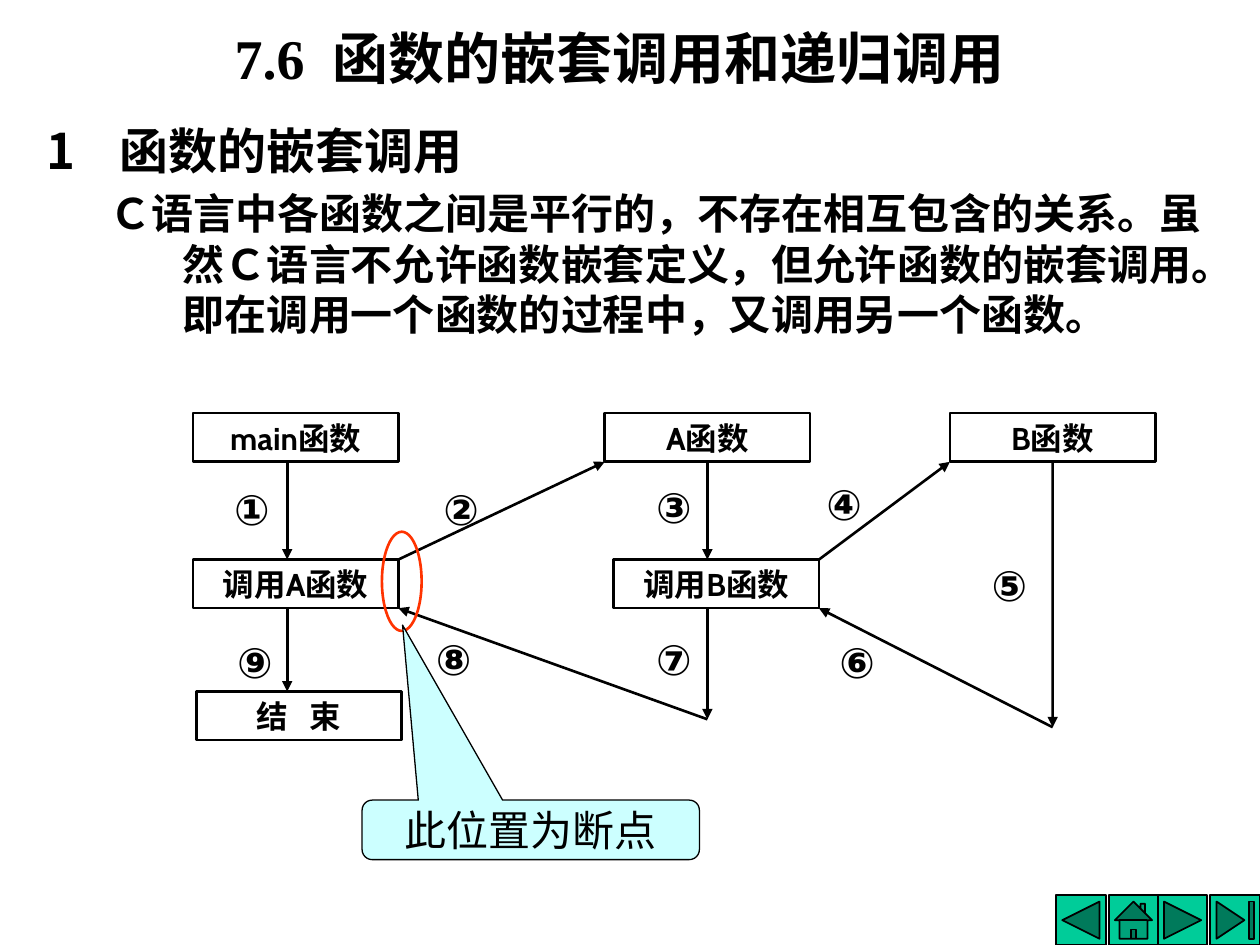
from lxml import etree
from pptx import Presentation
from pptx import util as u
from pptx.dml.color import RGBColor
from pptx.enum import shapes, text
from pptx.oxml.ns import qn

BOX_W, BOX_H = 4.14, 0.98
TOP, CALL, END = 8.33, 11.28, 13.94  # upper edges of the three box rows
MAIN_X, A_X, CALL_B_X, B_X = 3.89, 12.19, 12.37, 19.15
MAIN_LINE = 5.79
A_LINE, B_LINE = A_X + BOX_W / 2, B_X + BOX_W / 2
A_RETURN, B_RETURN = 14.5, 14.66

BOXES = {
    "main": ("main函数", MAIN_X, TOP),
    "call_a": ("调用A函数", MAIN_X, CALL),
    "end": ("结   束", 3.96, END),
    "a": ("A函数", A_X, TOP),
    "call_b": ("调用B函数", CALL_B_X, CALL),
    "b": ("B函数", B_X, TOP),
}
CALL_A_RIGHT, CALL_B_RIGHT = MAIN_X + BOX_W, CALL_B_X + BOX_W
# start x, y, end x, y, and the box whose bottom middle is the start
ARROWS = [
    (MAIN_LINE, TOP + BOX_H, MAIN_LINE, CALL, None),
    (CALL_A_RIGHT, CALL, A_X, TOP + BOX_H, None),
    (A_LINE, TOP + BOX_H, A_LINE, CALL, "a"),
    (CALL_B_RIGHT, CALL, B_X, TOP + BOX_H, None),
    (B_LINE, TOP + BOX_H, B_LINE, B_RETURN, "b"),
    (B_LINE, B_RETURN, CALL_B_RIGHT, CALL + BOX_H, None),
    (A_LINE, CALL + BOX_H, A_LINE, A_RETURN, None),
    (A_LINE, A_RETURN, CALL_A_RIGHT, CALL + BOX_H, None),
    (MAIN_LINE, CALL + BOX_H, MAIN_LINE, END, None),
]
STEPS = [
    ("①", 4.72, 9.75), ("②", 8.94, 9.75), ("③", 13.23, 9.7),
    ("④", 16.66, 9.65), ("⑤", 19.99, 11.28), ("⑥", 16.92, 12.83),
    ("⑦", 13.23, 12.78), ("⑧", 8.79, 12.78), ("⑨", 4.78, 12.83),
]


def color(value):
    return RGBColor.from_string(value)


class SlideBuilder:
    serif, sans, ink = "Times New Roman", "Cabin", "000000"

    def __init__(self, slide):
        self.slide = slide

    def format_text(self, frame, size, font, bold=True, align=text.PP_ALIGN.CENTER):
        for para in frame.paragraphs:
            para.alignment = align
            for span in para.runs:
                span.font.size = u.Pt(size)
                span.font.name = font
                span.font.bold = bold
                span.font.color.rgb = color(self.ink)

    def title(self, words, left, top, width, height):
        box = self.slide.shapes.title
        box.left, box.top = u.Cm(left), u.Cm(top)
        box.width, box.height = u.Cm(width), u.Cm(height)
        box.text_frame.text = words
        box.text_frame.vertical_anchor = text.MSO_ANCHOR.MIDDLE
        self.format_text(box.text_frame, 32, self.serif)

    def text_box(self, words, left, top, width, height):
        box = self.slide.shapes.add_textbox(u.Cm(left), u.Cm(top), u.Cm(width), u.Cm(height))
        box.text_frame.word_wrap = True
        box.text_frame.text = words
        return box.text_frame

    def body(self, heading, passage, *place):
        frame = self.text_box(heading, *place)
        first = frame.paragraphs[0]
        second = frame.add_paragraph()
        second.text = passage
        second.space_before = u.Pt(5)
        for para, margin in ((first, 1.48), (second, 2.75)):
            properties = para._p.get_or_add_pPr()
            properties.set("marL", str(u.Cm(margin)))
            properties.set("indent", str(u.Cm(-1.48)))
        bullet = etree.SubElement(first._p.get_or_add_pPr(), qn("a:buAutoNum"))
        bullet.set("type", "arabicPlain")
        self.format_text(frame, 24, self.serif, align=text.PP_ALIGN.LEFT)
        first.runs[0].font.size = u.Pt(28)

    def step(self, mark, left, top):
        frame = self.text_box(mark, left, top, 1.07, 0.84)
        self.clear_margins(frame)
        self.format_text(frame, 24, self.sans, align=text.PP_ALIGN.LEFT)

    def clear_margins(self, frame):
        frame.margin_left = frame.margin_right = frame.margin_top = frame.margin_bottom = 0

    def shape(self, kind, left, top, width, height, fill=None, line="000000", weight=1.5):
        item = self.slide.shapes.add_shape(kind, u.Cm(left), u.Cm(top), u.Cm(width), u.Cm(height))
        item.shadow.inherit = False
        if fill:
            item.fill.solid()
            item.fill.fore_color.rgb = color(fill)
        else:
            item.fill.background()
        item.line.color.rgb = color(line)
        item.line.width = u.Pt(weight)
        return item

    def function_box(self, words, left, top):
        box = self.shape(shapes.MSO_SHAPE.RECTANGLE, left, top, BOX_W, BOX_H)
        frame = box.text_frame
        frame.text = words
        frame.vertical_anchor = text.MSO_ANCHOR.MIDDLE
        self.clear_margins(frame)
        self.format_text(frame, 18, self.sans)
        return box

    def arrow(self, x1, y1, x2, y2, source=None):
        line = self.slide.shapes.add_connector(
            shapes.MSO_CONNECTOR.STRAIGHT, u.Cm(x1), u.Cm(y1), u.Cm(x2), u.Cm(y2))
        if source is not None:
            line.begin_connect(source, 2)
        line.line.color.rgb = color(self.ink)
        line.line.width = u.Pt(1.5)
        etree.SubElement(line.line._get_or_add_ln(), qn("a:tailEnd")).set("type", "triangle")
        etree.SubElement(line._element.spPr, qn("a:effectLst"))

    def callout(self, words, *place):
        box = self.shape(shapes.MSO_SHAPE.ROUNDED_RECTANGULAR_CALLOUT, *place,
                         fill="CCFFFF", weight=0.75)
        for index, value in enumerate((-0.38, -3.44, 0.17)):
            box.adjustments[index] = value
        box.text_frame.text = words
        box.text_frame.vertical_anchor = text.MSO_ANCHOR.MIDDLE
        self.format_text(box.text_frame, 24, self.serif, bold=False)


def main():
    deck = Presentation()
    deck.slide_width, deck.slide_height = u.Cm(25.4), u.Cm(19.05)
    page = SlideBuilder(deck.slides.add_slide(deck.slide_layouts[5]))

    kinds = shapes.MSO_SHAPE
    for kind, left in ((kinds.ACTION_BUTTON_FORWARD_OR_NEXT, 23.34),
                       (kinds.ACTION_BUTTON_HOME, 22.35),
                       (kinds.ACTION_BUTTON_BACK_OR_PREVIOUS, 21.29),
                       (kinds.ACTION_BUTTON_END, 24.4)):
        page.shape(kind, left, 18.05, 1, 1, fill="00CC99", weight=1)

    page.title("7.6  函数的嵌套调用和递归调用", 1.7, 0, 21.6, 2.3)
    page.body("函数的嵌套调用",
              "Ｃ语言中各函数之间是平行的，不存在相互包含的关系。虽然Ｃ语言不允许函数嵌套定义，"
              "但允许函数的嵌套调用。即在调用一个函数的过程中，又调用另一个函数。",
              0.69, 2.3, 24, 5.2)

    boxes = {name: page.function_box(*box) for name, box in BOXES.items()}
    for *ends, source in ARROWS:
        page.arrow(*ends, boxes.get(source))
    for step in STEPS:
        page.step(*step)

    page.shape(kinds.OVAL, 7.7, 10.72, 0.8, 2, line="FF3300")
    page.callout("此位置为断点", 7.3, 16.13, 6.8, 1.2)
    deck.save("out.pptx")


if __name__ == "__main__":
    main()
